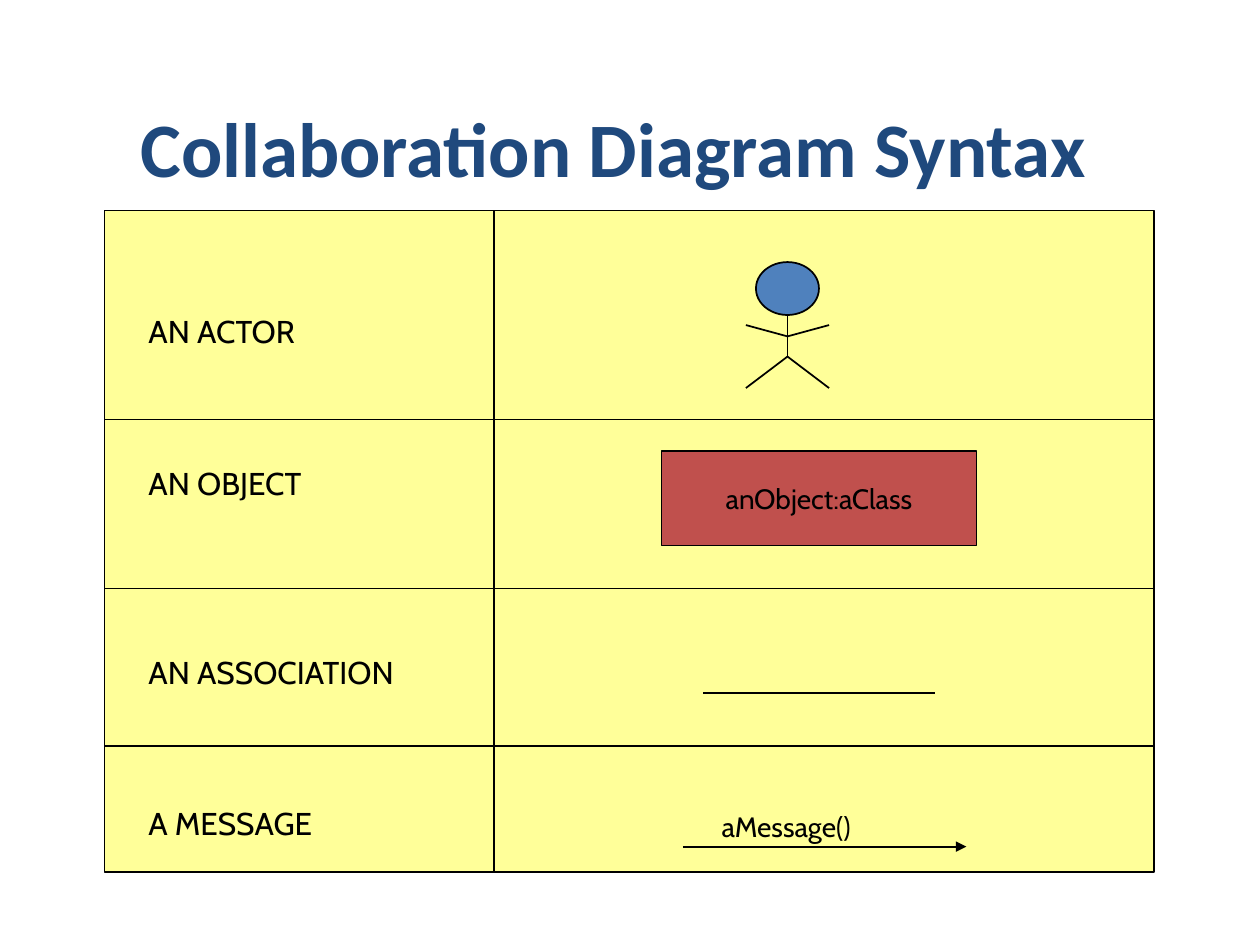
from lxml.etree import SubElement
from pptx import Presentation
from pptx.dml.color import RGBColor
from pptx.enum.shapes import MSO_CONNECTOR, MSO_SHAPE
from pptx.enum.text import MSO_ANCHOR, PP_ALIGN
from pptx.oxml.ns import qn
from pptx.util import Inches, Pt

BLACK = RGBColor(0x00, 0x00, 0x00)
NAVY = RGBColor(0x1F, 0x49, 0x7D)
YELLOW = RGBColor(0xFF, 0xFF, 0x99)
BLUE = RGBColor(0x4F, 0x81, 0xBD)
RED = RGBColor(0xC0, 0x50, 0x4D)

# Content: each label with the gap above it, in inches
TITLE = "Collaboration Diagram Syntax"
LABELS = [("AN ACTOR", 0), ("AN OBJECT", 0.9), ("AN ASSOCIATION", 1.2), ("A MESSAGE", 0.9)]
OBJECT_NAME = "anObject:aClass"
MESSAGE_NAME = "aMessage()"

# Panel geometry, in inches
LEFT, TOP, RIGHT, BOTTOM = 0.83, 1.67, 9.16, 6.92
COLUMN_X = 3.92
ROW_YS = [3.33, 4.67, 5.92]

# Stick figure, in inches
BODY_X, NECK_Y, SHOULDER_Y, HIP_Y = 6.25, 2.5, 2.67, 2.83
HAND_Y, FOOT_Y, REACH = 2.58, 3.08, 0.33


def add_box(shapes, kind, left, top, width, height, fill):
    box = shapes.add_shape(kind, Inches(left), Inches(top), Inches(width), Inches(height))
    box.shadow.inherit = False
    box.fill.solid()
    box.fill.fore_color.rgb = fill
    box.line.color.rgb = BLACK
    box.line.width = Pt(1)
    return box


def add_line(shapes, x1, y1, x2, y2, arrow=False):
    line = shapes.add_connector(
        MSO_CONNECTOR.STRAIGHT, Inches(x1), Inches(y1), Inches(x2), Inches(y2))
    line.line.color.rgb = BLACK
    line.line.width = Pt(1)
    properties = line._element.spPr
    if arrow:
        SubElement(properties.find(qn("a:ln")), qn("a:tailEnd"), type="triangle")
    SubElement(properties, qn("a:effectLst"))


def write(frame, paragraphs, size, font="Cabin", color=BLACK, bold=False,
          align=PP_ALIGN.LEFT, anchor=MSO_ANCHOR.TOP):
    """Fill a text frame with (text, gap above in inches) pairs."""
    frame.word_wrap = True
    frame.vertical_anchor = anchor
    for index, (text, gap) in enumerate(paragraphs):
        paragraph = frame.add_paragraph() if index else frame.paragraphs[0]
        paragraph.text = text
        paragraph.alignment = align
        if gap:
            paragraph.space_before = Inches(gap)
        paragraph.font.name = font
        paragraph.font.size = Pt(size)
        paragraph.font.bold = bold
        paragraph.font.color.rgb = color


def main():
    deck = Presentation()
    deck.slide_width, deck.slide_height = Inches(10), Inches(7.5)
    slide = deck.slides.add_slide(deck.slide_layouts[5])
    shapes = slide.shapes

    # Title
    title = shapes.title
    title.left, title.top = Inches(0.62), Inches(0.33)
    title.width, title.height = Inches(8.5), Inches(1.25)
    write(title.text_frame, [(TITLE, 0)], 44, font="Calibri", color=NAVY, bold=True,
          align=PP_ALIGN.CENTER, anchor=MSO_ANCHOR.BOTTOM)

    # Panel with its dividers
    add_box(shapes, MSO_SHAPE.RECTANGLE, LEFT, TOP, RIGHT - LEFT, BOTTOM - TOP, YELLOW)
    add_line(shapes, COLUMN_X, TOP, COLUMN_X, BOTTOM)
    for row_y in ROW_YS:
        add_line(shapes, LEFT, row_y, RIGHT, row_y)

    # Labels
    labels = shapes.add_textbox(Inches(1.08), Inches(2.43), Inches(2.6), Inches(4.31))
    write(labels.text_frame, LABELS, 18)

    # Actor
    actor = shapes.add_group_shape().shapes
    add_box(actor, MSO_SHAPE.OVAL, BODY_X - 0.25, NECK_Y - 0.42, 0.5, 0.42, BLUE)
    add_line(actor, BODY_X, NECK_Y, BODY_X, HIP_Y)
    for side in (-REACH, REACH):
        add_line(actor, BODY_X, SHOULDER_Y, BODY_X + side, HAND_Y)
        add_line(actor, BODY_X, HIP_Y, BODY_X + side, FOOT_Y)

    # Object
    object_box = add_box(shapes, MSO_SHAPE.RECTANGLE, 5.25, 3.58, 2.5, 0.75, RED)
    write(object_box.text_frame, [(OBJECT_NAME, 0)], 16,
          align=PP_ALIGN.CENTER, anchor=MSO_ANCHOR.MIDDLE)

    # Association
    add_line(shapes, 5.58, 5.5, 7.42, 5.5)

    # Message
    message = shapes.add_group_shape().shapes
    add_line(message, 5.42, 6.72, 7.67, 6.72, arrow=True)
    message_label = message.add_textbox(Inches(5.63), Inches(6.38), Inches(1.54), Inches(0.37))
    write(message_label.text_frame, [(MESSAGE_NAME, 0)], 16)

    deck.save("out.pptx")


if __name__ == "__main__":
    main()
